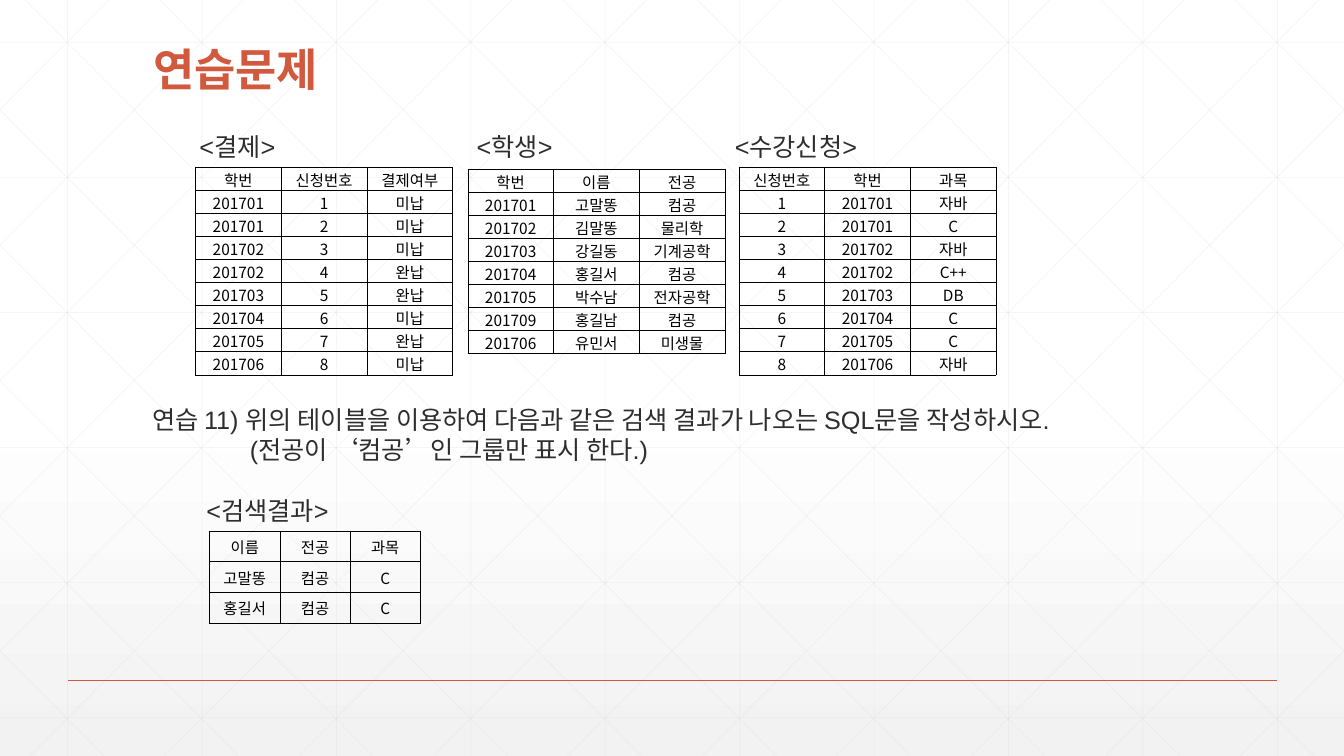
import lxml.etree
import pptx
import pptx.dml.color
import pptx.enum.shapes
import pptx.enum.text
import pptx.oxml.ns
import pptx.util

Inches, Pt = pptx.util.Inches, pptx.util.Pt
qn = pptx.oxml.ns.qn

# Content
TITLE = "연습문제"
LABELS = [  # text, left, width
    ("<결제>", 1.88, 1.07),
    ("<학생>", 4.63, 1.07),
    ("<수강신청>", 7.19, 1.58),
]
QUESTION = [  # text, left indent in inches, space before in points
    ("연습 11) 위의 테이블을 이용하여 다음과 같은 검색 결과가 나오는 SQL문을 작성하시오.", 0, 0),
    ("(전공이 ‘컴공’인 그룹만 표시 한다.)", 0.97, 0),
    ("<검색결과>", 0.54, 22),
]
PAYMENTS = [
    ("학번", "신청번호", "결제여부"),
    ("201701", "1", "미납"),
    ("201701", "2", "미납"),
    ("201702", "3", "미납"),
    ("201702", "4", "완납"),
    ("201703", "5", "완납"),
    ("201704", "6", "미납"),
    ("201705", "7", "완납"),
    ("201706", "8", "미납"),
]
STUDENTS = [
    ("학번", "이름", "전공"),
    ("201701", "고말똥", "컴공"),
    ("201702", "김말똥", "물리학"),
    ("201703", "강길동", "기계공학"),
    ("201704", "홍길서", "컴공"),
    ("201705", "박수남", "전자공학"),
    ("201709", "홍길남", "컴공"),
    ("201706", "유민서", "미생물"),
]
COURSES = [
    ("신청번호", "학번", "과목"),
    ("1", "201701", "자바"),
    ("2", "201701", "C"),
    ("3", "201702", "자바"),
    ("4", "201702", "C++"),
    ("5", "201703", "DB"),
    ("6", "201704", "C"),
    ("7", "201705", "C"),
    ("8", "201706", "자바"),
]
RESULT = [
    ("이름", "전공", "과목"),
    ("고말똥", "컴공", "C"),
    ("홍길서", "컴공", "C"),
]
TABLES = [  # rows, left, top, width, height
    (PAYMENTS, 1.94, 1.66, 2.55, 2.06),
    (COURSES, 7.33, 1.66, 2.55, 2.06),
    (RESULT, 2.08, 5.27, 2.09, 0.91),
    (STUDENTS, 4.64, 1.68, 2.55, 1.83),
]
THEME = {
    "accent": "D15A3E", "text": "2D2E2D", "cell": "000000", "grid": "D9D9D9",
    "top": "FFFFFF", "bottom": "F2F2F2",
    "font": "Arial", "cell_font": "Noto Sans CJK KR",
    "title_size": 32, "body_size": 18, "cell_size": 11,
}
W, H = 13.33, 7.5
GRID_STEP = 4 / 3
DIAGONAL_RUN = 7.45  # sideways travel of a diagonal over the slide height


def rgb(name):
    return pptx.dml.color.RGBColor.from_string(THEME[name])


def add_line(s, x1, y1, x2, y2, color, width, alpha=None):
    line = s.shapes.add_connector(
        pptx.enum.shapes.MSO_CONNECTOR.STRAIGHT,
        Inches(x1), Inches(y1), Inches(x2), Inches(y2))
    line.line.color.rgb = rgb(color)
    line.line.width = Pt(width)
    sp_pr = line._element.spPr
    if alpha:
        clr = sp_pr.find(".//" + qn("a:srgbClr"))
        lxml.etree.SubElement(clr, qn("a:alpha"), val=str(alpha * 1000))
    lxml.etree.SubElement(sp_pr, qn("a:effectLst"))


def add_run(p, text, size, color, font, bold=False):
    r = p.add_run()
    r.text = text
    r.font.size = Pt(THEME[size])
    r.font.name = THEME[font]
    r.font.color.rgb = rgb(color)
    r.font.bold = bold
    return r


def add_box(s, left, top, width, height, wrap=True):
    box = s.shapes.add_textbox(Inches(left), Inches(top), Inches(width), Inches(height))
    box.text_frame.word_wrap = wrap
    return box.text_frame


def add_grid_table(s, rows, left, top, width, height):
    table = s.shapes.add_table(len(rows), len(rows[0]), Inches(left), Inches(top),
                               Inches(width), Inches(height)).table
    table.first_row = table.horz_banding = False
    for row in table.rows:
        row.height = Inches(height / len(rows))
    for i, values in enumerate(rows):
        for j, value in enumerate(values):
            fill_cell(table.cell(i, j), value)


def fill_cell(cell, value):
    cell.margin_left = cell.margin_right = cell.margin_top = Inches(0.01)
    cell.margin_bottom = 0
    cell.vertical_anchor = pptx.enum.text.MSO_ANCHOR.MIDDLE
    p = cell.text_frame.paragraphs[0]
    p.alignment = pptx.enum.text.PP_ALIGN.CENTER
    r = add_run(p, value, "cell_size", "cell", "cell_font")
    lxml.etree.SubElement(r.font._element, qn("a:ea"), typeface=THEME["cell_font"])
    # Borders come before the fill in the cell properties
    tc_pr = cell._tc.get_or_add_tcPr()
    for side in ("a:lnL", "a:lnR", "a:lnT", "a:lnB"):
        ln = lxml.etree.SubElement(tc_pr, qn(side), w=str(Pt(0.5)))
        solid = lxml.etree.SubElement(ln, qn("a:solidFill"))
        lxml.etree.SubElement(solid, qn("a:srgbClr"), val=THEME["cell"])
    cell.fill.background()


def add_background(s):
    fill = s.background.fill
    fill.gradient()
    fill.gradient_angle = 270
    for stop, position, color in zip(fill.gradient_stops, (0.53, 1), ("top", "bottom")):
        stop.position = position
        stop.color.rgb = rgb(color)
    # Upright and level grid lines
    grid = [(x, 0, x, H) for x in (0.67 + GRID_STEP * k for k in range(10))]
    grid += [(0, y, W, y) for y in (0.42 + 1.34 * k for k in range(6))]
    # Diagonals cut at the slide edges, each with its mirror
    for k in range(-5, 10):
        x = 0.25 + GRID_STEP * k
        x1, x2 = max(x, 0), min(x + DIAGONAL_RUN, W)
        y1, y2 = ((edge - x) * H / DIAGONAL_RUN for edge in (x1, x2))
        grid += [(x1, y1, x2, y2), (W - x1, y1, W - x2, y2)]
    for ends in grid:
        add_line(s, *ends, "grid", 0.5, alpha=25)
    add_line(s, 0.67, 6.75, 12.67, 6.75, "accent", 1)


def main():
    prs = pptx.Presentation()
    prs.slide_width, prs.slide_height = Inches(W), Inches(H)
    s = prs.slides.add_slide(prs.slide_layouts[6])
    add_background(s)

    # Title
    tf = add_box(s, 1.42, 0.39, 10.5, 0.61)
    tf.vertical_anchor = pptx.enum.text.MSO_ANCHOR.BOTTOM
    p = tf.paragraphs[0]
    p.line_spacing = 0.9
    add_run(p, TITLE, "title_size", "accent", "font", bold=True)

    # Question and result heading
    tf = add_box(s, 1.41, 3.96, 11.57, 2.22)
    for i, (text, indent, before) in enumerate(QUESTION):
        p = tf.add_paragraph() if i else tf.paragraphs[0]
        p._p.get_or_add_pPr().set("marL", str(Inches(indent)))
        p.space_before = Pt(before)
        add_run(p, text, "body_size", "text", "font")

    # Tables and their labels
    for text, left, width in LABELS:
        tf = add_box(s, left, 1.25, width, 0.4, wrap=False)
        add_run(tf.paragraphs[0], text, "body_size", "text", "font")
    for table in TABLES:
        add_grid_table(s, *table)

    prs.save("out.pptx")


if __name__ == "__main__":
    main()
